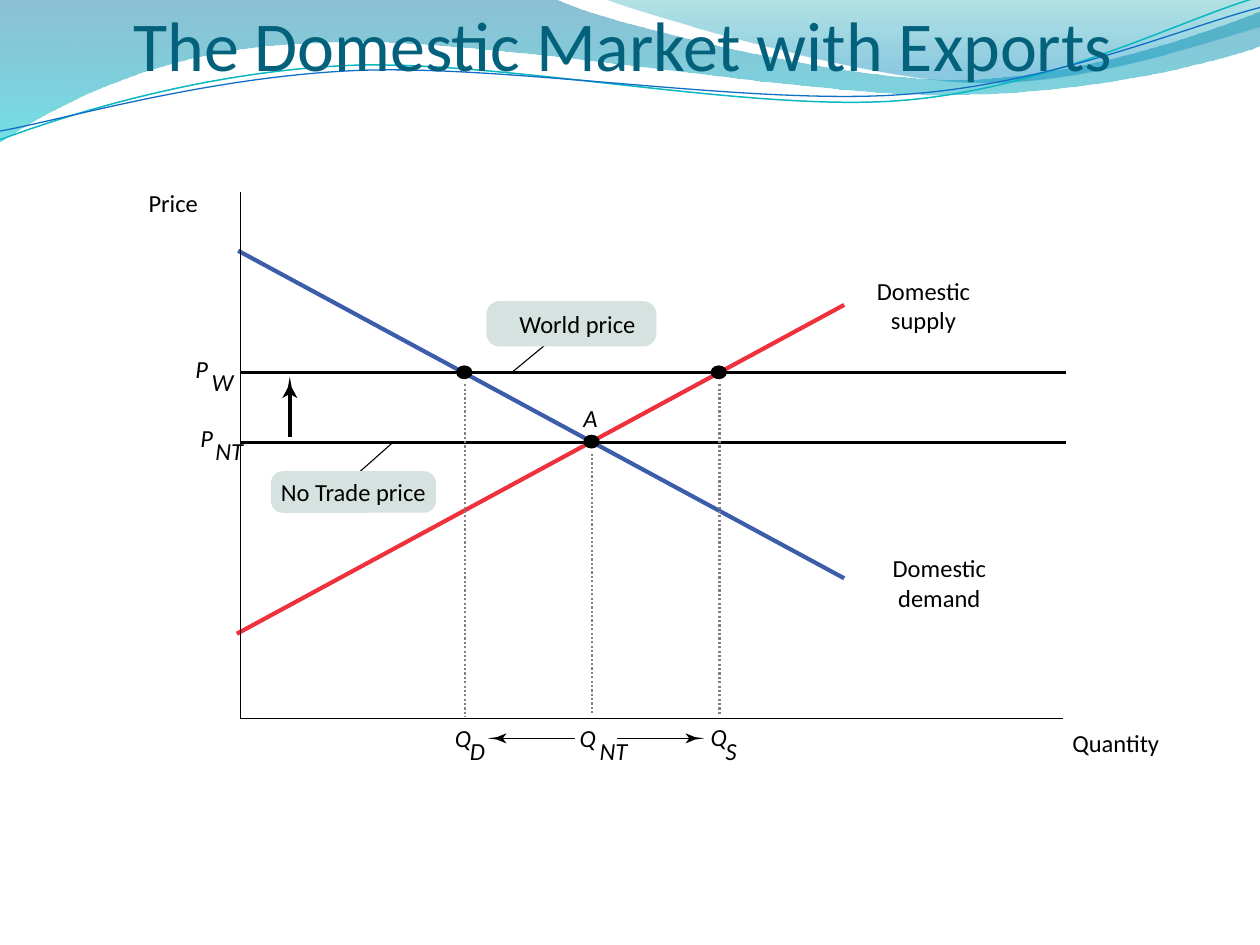
from pptx import Presentation
from pptx.dml.color import RGBColor
from pptx.enum.dml import MSO_LINE
from pptx.enum.shapes import MSO_CONNECTOR, MSO_SHAPE
from pptx.enum.text import MSO_ANCHOR, PP_ALIGN
from pptx.oxml.ns import qn
from pptx.util import Inches, Pt
from lxml.etree import Element, SubElement

FONT = "Calibri"
BLACK, TEAL, PALE, GREY = "000000", "04617B", "D6E2E0", "808080"
BLUE, RED = "3C5DAA", "EE313C"

# Outlines: a pair is a straight step, six numbers are a cubic curve.
BANDS = [
    ([(0, 0), (4.4, -.01), (4.76, .17, 6.64, .63, 7.58, .63),
      (8.53, .63, 9.58, .26, 10, .09), (10.01, .36),
      (9.83, .44, 8.7, .76, 7.46, .75), (6.22, .75, 3.82, .28, 2.57, .34),
      (1.29, .36, .46, .83, -.01, 1.13)],
     [(0, "0074A1", 45), (1, "00C6CF", 55)]),
    ([(4.79, -.01), (5.09, .11, 6.82, .62, 7.69, .65),
      (8.56, .69, 9.61, .32, 10, .21), (10, 0)],
     [(0, "00A1A9", 30), (.8, "008BBF", 45)]),
]
WAVES = [
    ([(0, 1.11), (.48, .93, 1.58, .57, 2.77, .52), (3.95, .47, 5.93, .89, 7.13, .8),
      (8.33, .71, 9.38, .15, 9.98, -.02)], "0AB8BF", .85),
    ([(0, 1.04), (.47, .96, 1.64, .61, 2.83, .56), (4.03, .51, 5.97, .84, 7.17, .75),
      (8.36, .67, 9.41, .21, 10, .06)], "0F6FC6", .75),
]

AXIS_X, AXIS_Y = 1.91, 5.7
WORLD_Y, NO_TRADE_Y = 2.96, 3.51
ARROW_Y = 5.86
Q_D, Q_NT, Q_S = 3.69, 4.7, 5.71
AXES = [(8.44, AXIS_Y), (AXIS_X, AXIS_Y), (AXIS_X, 1.52)]
PRICE_LINES = [(AXIS_X, y, 8.46, y, BLACK, 1.75) for y in (WORLD_Y, NO_TRADE_Y)]
CURVES = [(6.7, 4.59, 1.89, 1.99, BLUE, 2.38), (1.88, 5.03, 6.7, 2.42, RED, 2.38)]
LEADERS = [(4.07, 2.95, 4.36, 2.71, BLACK, .63), (2.86, 3.74, 3.12, 3.51, BLACK, .63)]
DROPS = [(Q_D, 3.05, 5.69), (Q_S, 3.05, 5.67), (Q_NT, 3.6, 5.67)]
POINTS = [(Q_S, WORLD_Y), (Q_D, WORLD_Y), (Q_NT, NO_TRADE_Y)]
# Shaft, width, tip, unit direction, head length, half width
ARROWS = [
    ((4.9, ARROW_Y, 5.48, ARROW_Y), .88, (5.59, ARROW_Y), (1, 0), .15, .04),
    ((4.56, ARROW_Y, 3.98, ARROW_Y), .88, (3.87, ARROW_Y), (-1, 0), .15, .04),
    ((2.3, 3.47, 2.3, 3.11), 2.38, (2.3, 2.99), (0, -1), .17, .06),
]
CALLOUTS = [("No Trade price", 2.15, 3.74, 1.31, .33, 0),
            ("World price", 3.86, 2.39, 1.35, .36, .1)]
NAMES = [("Price", .85, 1.49, 1.05, .24), ("Quantity", 7.98, 5.78, 1.75, .24),
         ("Domestic supply", 6.75, 2.19, 1.16, .47),
         ("Domestic demand", 6.85, 4.39, 1.21, .47)]
SYMBOLS = [("A", 4.63, 3.2, .13),
           ("P", 1.55, 2.81, .13), ("W", 1.68, 2.91, .19),
           ("P", 1.59, 3.36, .13), ("NT", 1.71, 3.46, .26),
           ("Q", 3.61, 5.74, .15), ("D", 3.73, 5.84, .14),
           ("Q", 4.6, 5.74, .15), ("NT", 4.76, 5.84, .26),
           ("Q", 5.64, 5.73, .15), ("S", 5.76, 5.84, .13)]


def rgb(color):
    """Turn a hex string into a colour."""
    return RGBColor.from_string(color)


def style(shape, fill=None, line=None, width=1):
    """Give a shape a flat fill and outline, or none."""
    shape.shadow.inherit = False
    if fill:
        shape.fill.solid()
        shape.fill.fore_color.rgb = rgb(fill)
    else:
        shape.fill.background()
    if line:
        shape.line.color.rgb = rgb(line)
        shape.line.width = Pt(width)
    else:
        shape.line.fill.background()


def bend(shape, outline):
    """Merge each run of three straight steps that stands for a cubic curve."""
    steps = iter(list(shape._element.spPr.iter(qn("a:lnTo"))))
    for step in outline[1:]:
        parts = [next(steps) for _ in range(len(step) // 2)]
        if len(parts) == 3:
            curve = Element(qn("a:cubicBezTo"))
            parts[0].addprevious(curve)
            for part in parts:
                curve.append(part[0])
                part.getparent().remove(part)


def add_outline(outline, closed, **look):
    """Draw a freeform from an outline in inches."""
    points = [(Inches(step[i]), Inches(step[i + 1]))
              for step in outline for i in range(0, len(step), 2)]
    builder = slide.shapes.build_freeform(*points[0])
    builder.add_line_segments(points[1:], close=closed)
    shape = builder.convert_to_shape()
    bend(shape, outline)
    style(shape, **look)
    return shape


def add_band(outline, stops):
    """Draw a wave band with a see-through vertical gradient."""
    band = add_outline(outline, True)
    band.fill.gradient()
    band.fill.gradient_angle = 270
    for stop, (position, color, _) in zip(band.fill.gradient_stops, stops):
        stop.position = position
        stop.color.rgb = rgb(color)
    for node, (_, _, alpha) in zip(band._element.spPr.iter(qn("a:srgbClr")), stops):
        SubElement(node, qn("a:alpha")).set("val", str(alpha * 1000))


def add_line(x1, y1, x2, y2, color, width, dash=None):
    """Draw a straight line."""
    line = slide.shapes.add_connector(
        MSO_CONNECTOR.STRAIGHT, Inches(x1), Inches(y1), Inches(x2), Inches(y2))
    line.line.color.rgb = rgb(color)
    line.line.width = Pt(width)
    if dash:
        line.line.dash_style = dash
    SubElement(line._element.spPr, qn("a:effectLst"))


def add_arrow(shaft, width, tip, direction, length, half):
    """Draw an arrow shaft with a swept-back head."""
    add_line(*shaft, BLACK, width)
    (x, y), (dx, dy) = tip, direction
    profile = [(0, 0), (.5, .25), (1, 1), (.8, 0), (1, -1), (.5, -.25)]
    head = [(x - back * length * dx - side * half * dy,
             y - back * length * dy + side * half * dx) for back, side in profile]
    add_outline(head, True, fill=BLACK)


def write(shape, text, size=14, color=BLACK, align=PP_ALIGN.CENTER, italic=False,
          wrap=True, anchor=MSO_ANCHOR.TOP, left=0):
    """Set the text of a shape."""
    frame = shape.text_frame
    frame.margin_left = Inches(left)
    frame.margin_right = frame.margin_top = frame.margin_bottom = 0
    frame.word_wrap, frame.vertical_anchor = wrap, anchor
    paragraph = frame.paragraphs[0]
    paragraph.text, paragraph.alignment = text, align
    font = paragraph.font
    font.name, font.size, font.italic = FONT, Pt(size), italic
    font.color.rgb = rgb(color)


def add_text(text, x, y, w, h, **look):
    """Add a text box."""
    write(slide.shapes.add_textbox(Inches(x), Inches(y), Inches(w), Inches(h)),
          text, **look)


def add_preset(kind, x, y, w, h, fill):
    """Add a filled preset shape."""
    shape = slide.shapes.add_shape(kind, Inches(x), Inches(y), Inches(w), Inches(h))
    style(shape, fill)
    return shape


prs = Presentation()
prs.slide_width, prs.slide_height = Inches(10), Inches(7.5)
slide = prs.slides.add_slide(prs.slide_layouts[6])

for outline, stops in BANDS:
    add_band(outline, stops)
for outline, color, width in WAVES:
    add_outline(outline, False, line=color, width=width)
add_text("The Domestic Market with Exports", 1.06, .07, 8.69, .61, size=40,
         color=TEAL, align=PP_ALIGN.LEFT, anchor=MSO_ANCHOR.BOTTOM)

for line in PRICE_LINES + CURVES:
    add_line(*line)
add_outline(AXES, False, line=BLACK, width=.63)
for line in LEADERS:
    add_line(*line)
for text, x, y, w, h, left in CALLOUTS:
    callout = add_preset(MSO_SHAPE.ROUNDED_RECTANGLE, x, y, w, h, PALE)
    callout.adjustments[0] = .29
    write(callout, text, wrap=False, anchor=MSO_ANCHOR.MIDDLE, left=left)
for x, y in POINTS:
    add_preset(MSO_SHAPE.OVAL, x - .07, y - .06, .13, .11, BLACK)
for arrow in ARROWS:
    add_arrow(*arrow)
for name in NAMES:
    add_text(*name)
for text, x, y, w in SYMBOLS:
    add_text(text, x, y, w, .24, align=PP_ALIGN.LEFT, italic=True, wrap=False)
for x, top, bottom in DROPS:
    add_line(x, top, x, bottom, GREY, 1.25, MSO_LINE.ROUND_DOT)

prs.save("out.pptx")
